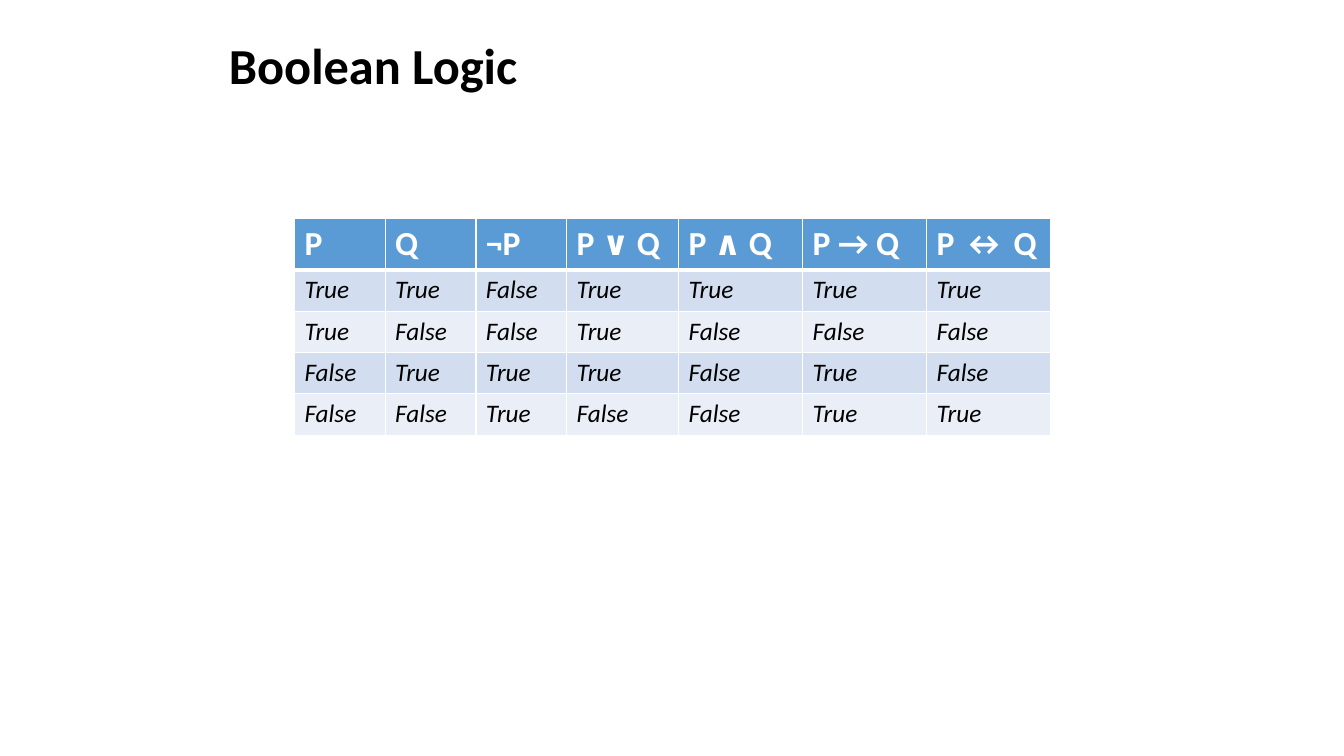
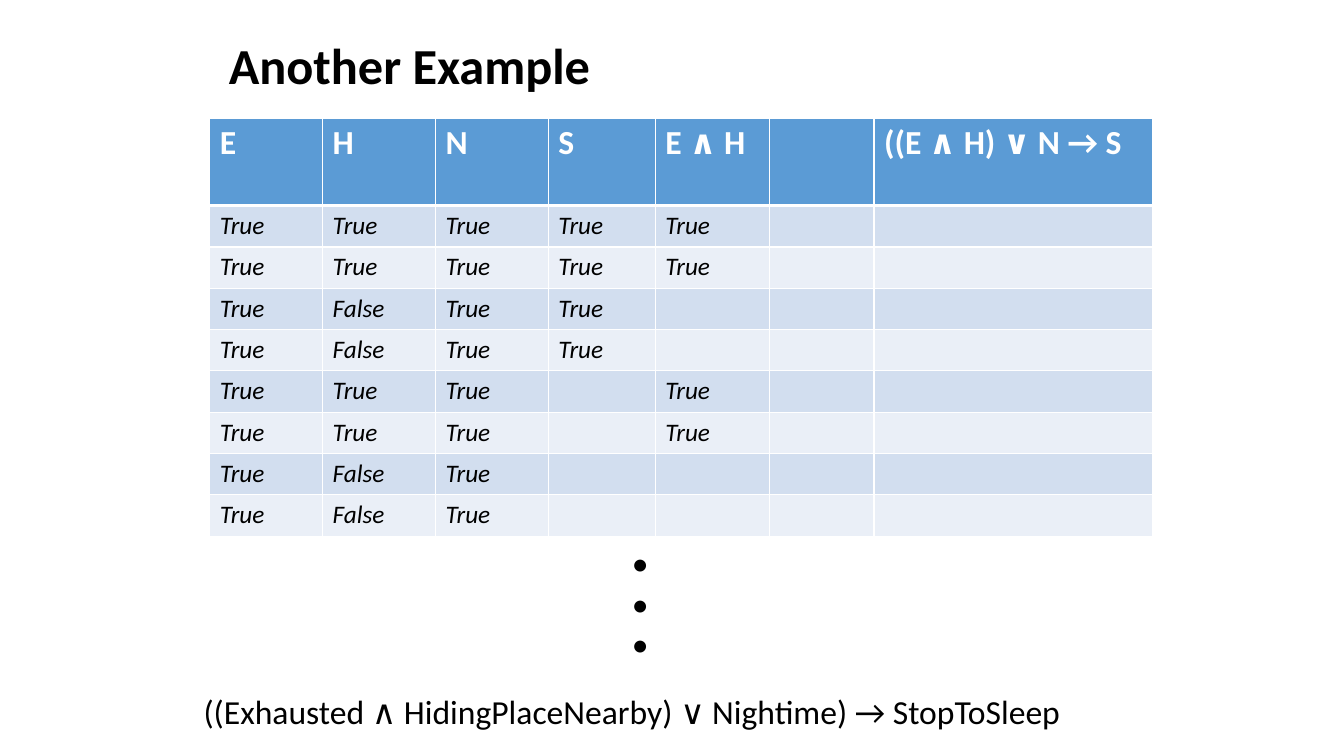
"""Build two slides of truth tables for Boolean logic."""
from dataclasses import dataclass

from lxml.etree import SubElement
from pptx import Presentation
from pptx.dml.color import RGBColor as RGB
from pptx.enum.text import MSO_ANCHOR as ANCHOR, MSO_AUTO_SIZE as FIT, PP_ALIGN as ALIGN
from pptx.oxml.ns import qn
from pptx.util import Emu, Pt

PX = 9144
TITLE_ONLY = 5
WORDS = {"T": "True", "F": "False", " ": ""}


@dataclass(frozen=True)
class Theme:
    """Colours, type sizes and measures shared by the slides."""
    font: str = "Calibri"
    ink: str = "000000"
    white: str = "FFFFFF"
    header: str = "5B9BD5"
    bands: tuple = ("D2DEEF", "EAEFF7")
    title_pt: int = 36
    text_pt: int = 24
    cell_pt: int = 18
    rule_pt: int = 1
    header_rule_pt: int = 3
    row_px: int = 41
    hang_px: int = 38


T = Theme()
TITLE = {"size": T.title_pt, "color": T.ink, "bold": True}
TEXT = {"size": T.text_pt, "color": T.ink}
HEAD = {"size": T.text_pt, "color": T.white, "bold": True}
BODY = {"size": T.cell_pt, "color": T.ink, "bold": False, "italic": True}


def px(n):
    """Turn whole px into EMU."""
    return Emu(n * PX)


def place(sp, *box):
    """Move and size a shape to left, top, width, height in px."""
    for name, value in zip(("left", "top", "width", "height"), box):
        setattr(sp, name, px(value))


def write(p, text, fmt):
    """Add a run to a paragraph and format it."""
    r = p.add_run()
    r.text = text
    values = {**fmt, "name": T.font, "size": Pt(fmt["size"])}
    r.font.color.rgb = RGB.from_string(values.pop("color"))
    for name, value in values.items():
        setattr(r.font, name, value)


def add_titled_slide(prs, text):
    """Add a slide with the shared title style."""
    s = prs.slides.add_slide(prs.slide_layouts[TITLE_ONLY])
    sp = s.shapes.title
    place(sp, 217, 30, 900, 75)
    tf = sp.text_frame
    tf.auto_size, tf.vertical_anchor = FIT.NONE, ANCHOR.MIDDLE
    p = tf.paragraphs[0]
    p.alignment, p.line_spacing = ALIGN.LEFT, 0.9
    write(p, text, TITLE)
    return s


def add_text(s, text, *box):
    """Add a wrapping text box."""
    sp = s.shapes.add_textbox(*map(px, box))
    tf = sp.text_frame
    tf.word_wrap, tf.auto_size = True, FIT.SHAPE_TO_FIT_TEXT
    write(tf.paragraphs[0], text, TEXT)


def set_borders(cell, top, bottom):
    """Draw white cell borders, with widths in points."""
    pr = cell._tc.get_or_add_tcPr()
    widths = {"L": T.rule_pt, "R": T.rule_pt, "T": top, "B": bottom}
    for side, width in widths.items():
        ln = SubElement(pr, qn(f"a:ln{side}"), w=str(Pt(width)))
        SubElement(SubElement(ln, qn("a:solidFill")), qn("a:srgbClr"), val=T.white)


def fill_cell(cell, row, text):
    """Format one cell by its row and write its text."""
    top = T.header_rule_pt if row == 1 else T.rule_pt
    bottom = T.header_rule_pt if row == 0 else T.rule_pt
    set_borders(cell, top, bottom)
    cell.fill.solid()
    color = T.bands[(row - 1) % 2] if row else T.header
    cell.fill.fore_color.rgb = RGB.from_string(color)
    if text:
        p = cell.text_frame.paragraphs[0]
        p.alignment = ALIGN.JUSTIFY
        pr = p._p.get_or_add_pPr()
        pr.set("marL", str(px(T.hang_px)))
        pr.set("indent", str(px(-T.hang_px)))
        write(p, text, BODY if row else HEAD)


def add_truth_table(s, left, top, widths, head_px, heads, codes):
    """Add a truth table whose rows are coded as T, F or blank."""
    rows = [heads] + [[WORDS[c] for c in code] for code in codes]
    heights = [head_px] + [T.row_px] * len(codes)
    box = map(px, (left, top, sum(widths), sum(heights)))
    table = s.shapes.add_table(len(rows), len(heads), *box).table
    for col, width in zip(table.columns, widths):
        col.width = px(width)
    for i, (row, height) in enumerate(zip(table.rows, heights)):
        row.height = px(height)
        for cell, text in zip(row.cells, rows[i]):
            fill_cell(cell, i, text)


def main():
    """Build and save the slides."""
    prs = Presentation()
    prs.slide_width, prs.slide_height = px(1333), px(750)

    s = add_titled_slide(prs, "Boolean Logic")
    add_truth_table(
        s, 292, 217, [90, 90, 90, 111, 123, 123, 123], 50,
        ["P", "Q", "¬P", "P ∨ Q", "P ∧ Q", "P → Q", "P ↔ Q"],
        ["TTFTTTT", "TFFTFFF", "FTTTFTF", "FFTFFTT"])

    s = add_titled_slide(prs, "Another Example")
    add_truth_table(
        s, 208, 117, [112, 112, 112, 106, 113, 104, 276], 87,
        ["E", "H", "N", "S", "E ∧ H", "", "((E ∧ H) ∨ N → S"],
        [code for code in ("TTTTT  ", "TFTT   ", "TTT T  ", "TFT    ")
         for _ in range(2)])
    add_text(s, "•••", 617, 533, 36, 131)
    add_text(s, "((Exhausted ∧ HidingPlaceNearby) ∨ Nightime) → StopToSleep",
             192, 681, 975, 50)

    prs.save("out.pptx")


if __name__ == "__main__":
    main()
